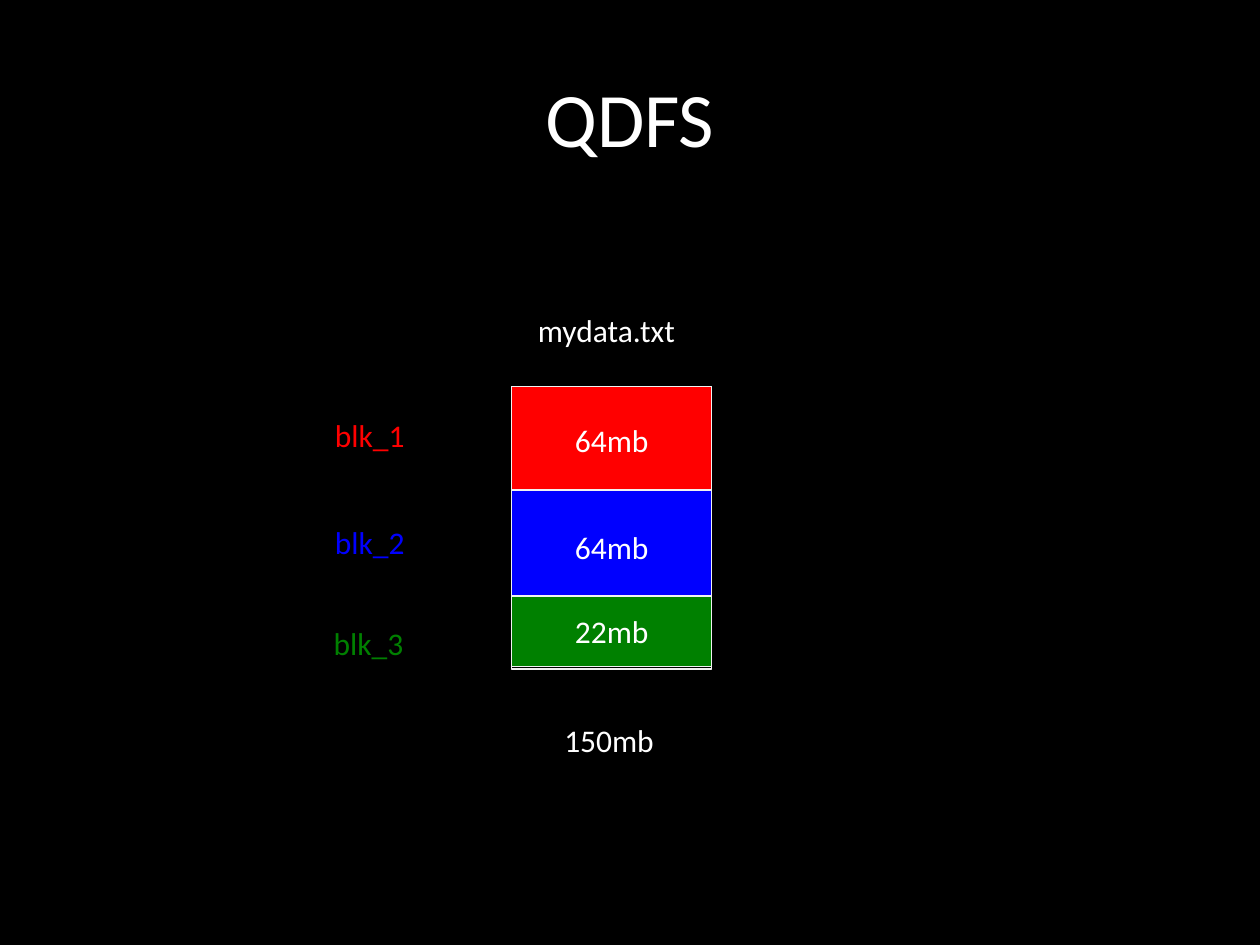
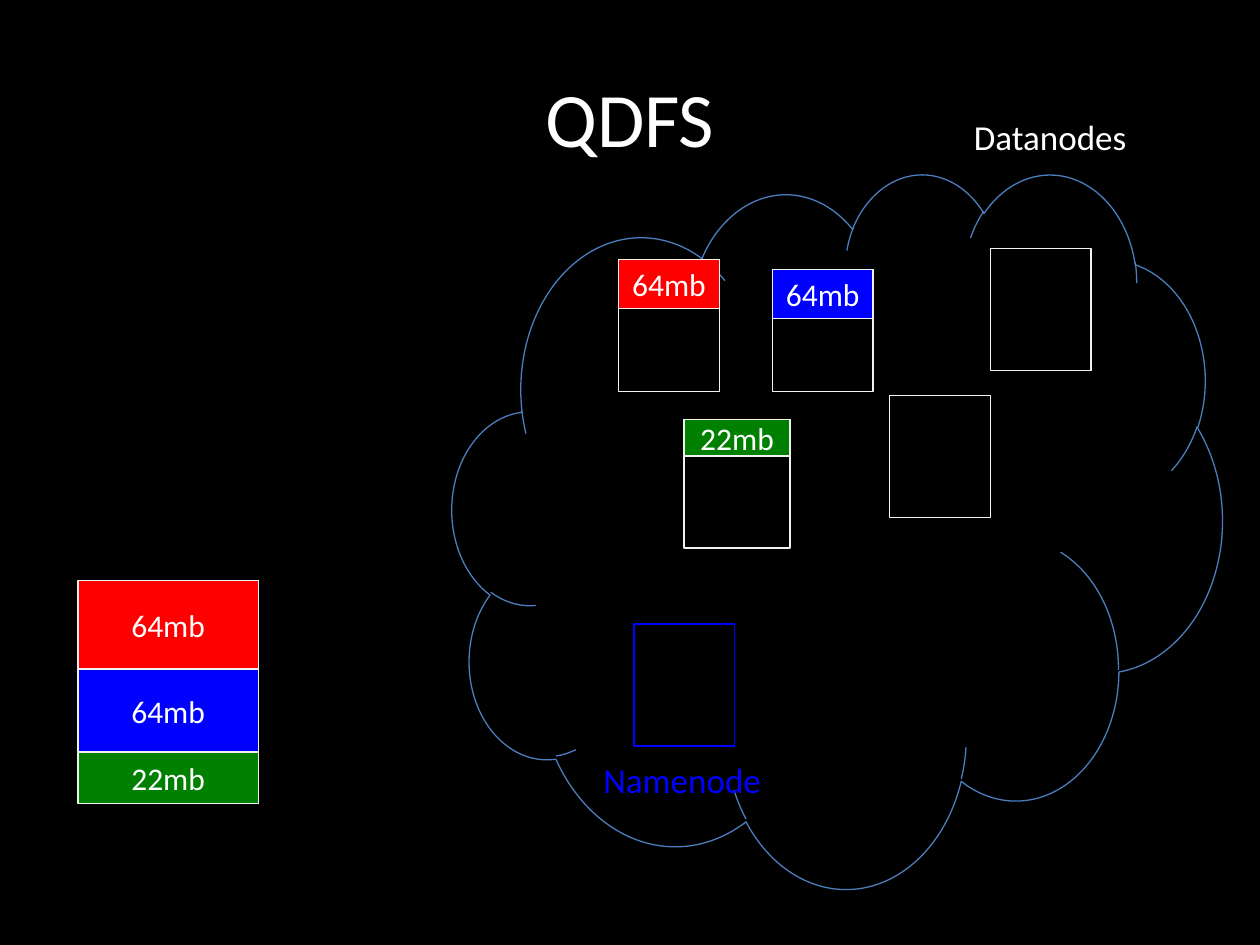
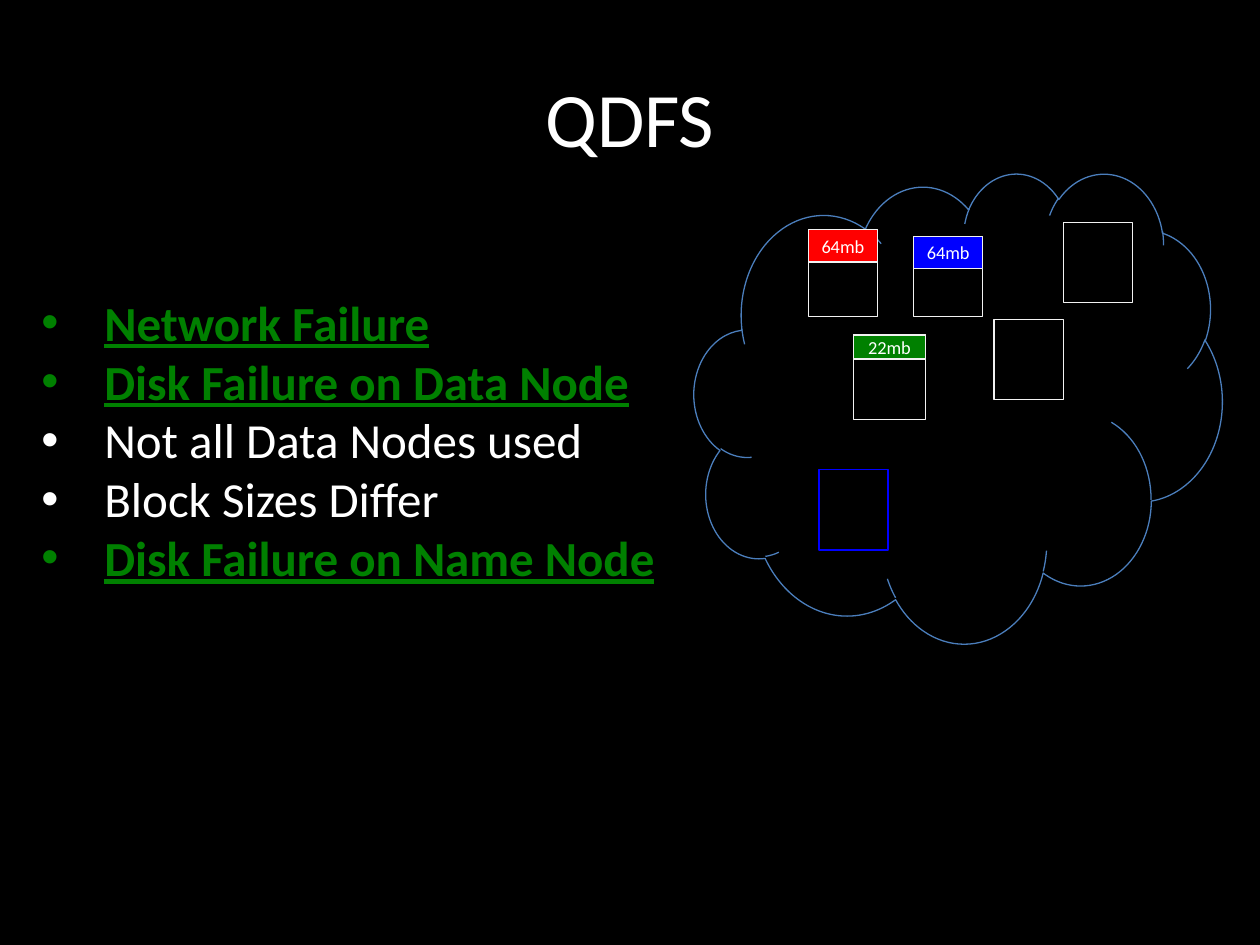
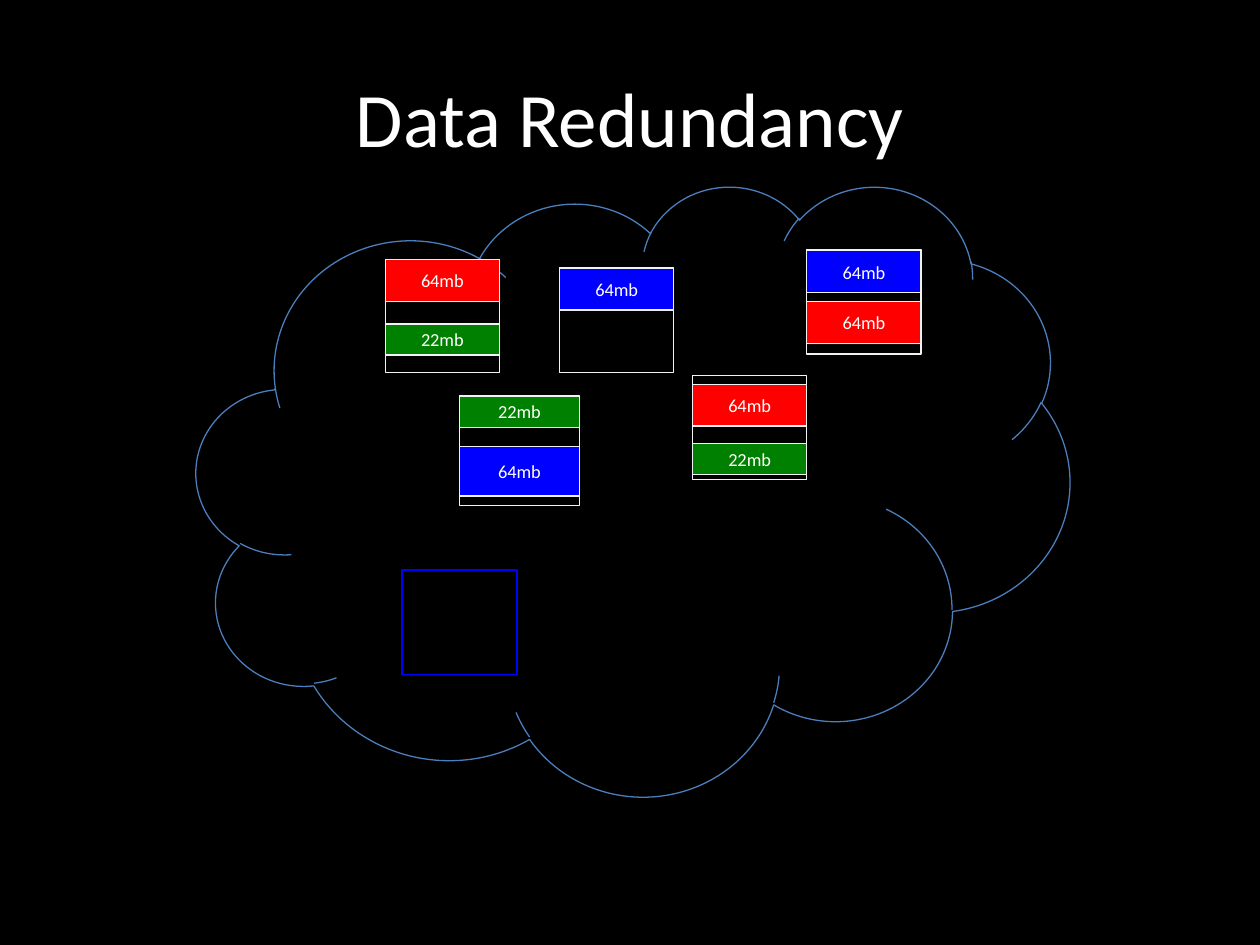
from lxml.etree import SubElement
from pptx import Presentation
from pptx.dml.color import RGBColor
from pptx.enum.shapes import MSO_SHAPE
from pptx.enum.text import MSO_ANCHOR, PP_ALIGN
from pptx.oxml.ns import qn
from pptx.util import Emu, Pt

PX = 9144
FONT = "Calibri"
COLORS = {
    "back": "000000", "text": "FFFFFF", "edge": "F2F2F2", "cloud": "4B7EBC",
    "red": "FF0000", "blue": "0000FF", "green": "008000",
}
SIZES = {"red": "64mb", "blue": "64mb", "green": "22mb"}
TITLE = (50, 30, 900, 125)
SYSTEM = "QDFS"

STACKS = {
    "file": ((406, 307, 159, 224), [("red", 307, 84), ("blue", 389, 90), ("green", 473, 56)]),
    "copy": ((62, 461, 143, 166), [("red", 461, 70), ("blue", 531, 66), ("green", 597, 41)]),
}
FILE_TAGS = [
    ("mydata.txt", (417, 242, 141, 40), 18, "text"),
    ("150mb", (438, 567, 101, 40), 18, "text"),
    ("blk_1", (256, 325, 83, 40), 18, "red"),
    ("blk_2", (256, 410, 83, 40), 18, "blue"),
    ("blk_3", (255, 490, 83, 40), 18, "green"),
]
NODE_TAGS = [
    ("Datanodes", (763, 87, 158, 44), 20, "text"),
    ("Namenode", (469, 597, 149, 44), 20, "blue"),
]
FAULTS = [
    ("Network Failure", True),
    ("Disk Failure on Data Node", True),
    ("Not all Data Nodes used", False),
    ("Block Sizes Differ", False),
    ("Disk Failure on Name Node", True),
]

CLOUD = (359, 137, 611, 567)
SMALL = (551, 137, 419, 373)
WIDE = (156, 147, 693, 484)
NODES = {
    "top": (613, 214, 80, 97),
    "mid": (543, 333, 84, 102),
    "left": (491, 206, 80, 105),
    "low": (706, 314, 80, 97),
    "right": (786, 197, 80, 97),
    "name": (503, 495, 80, 97),
}
SINGLE = [("top", "blue", 0, 39), ("mid", "green", 0, 29), ("left", "red", 0, 39)]
SPARE = [
    ("left", "green", 60, 29), ("right", "red", 48, 39), ("low", "red", 8, 39),
    ("low", "green", 63, 29), ("right", "blue", 1, 39), ("mid", "blue", 47, 46),
]


def tint(name):
    return RGBColor.from_string(COLORS[name])


def scale(box):
    return [Emu(round(v * PX)) for v in box]


def style(item, values):
    for key, value in values.items():
        setattr(item, key, value)


def write(para, text, size, color, **more):
    run = para.add_run()
    run.text = text
    style(run.font, {"name": FONT, "size": Pt(size), **more})
    run.font.color.rgb = tint(color)


def label(slide, text, box, size, color):
    frame = slide.shapes.add_textbox(*scale(box)).text_frame
    frame.word_wrap = True
    write(frame.paragraphs[0], text, size, color)
    return frame


def outline(shapes, box, color="edge", width=0.75, kind=MSO_SHAPE.RECTANGLE):
    shape = shapes.add_shape(kind, *scale(box))
    shape.shadow.inherit = False
    shape.fill.background()
    shape.line.color.rgb = tint(color)
    shape.line.width = Pt(width)
    return shape


def block(shapes, box, color, size):
    shape = outline(shapes, box)
    shape.fill.solid()
    shape.fill.fore_color.rgb = tint(color)
    frame = shape.text_frame
    style(frame, {"margin_left": 0, "margin_right": 0, "word_wrap": True,
                  "vertical_anchor": MSO_ANCHOR.MIDDLE})
    frame.paragraphs[0].alignment = PP_ALIGN.CENTER
    write(frame.paragraphs[0], SIZES[color], size, "text")


def stack(slide, name):
    frame, parts = STACKS[name]
    outline(slide.shapes, frame)
    left, _, width, _ = frame
    for color, top, height in parts:
        block(slide.shapes, (left, top, width, height), color, 18)


def cluster(shapes, frame, blocks, size):
    wide, high = frame[2] / CLOUD[2], frame[3] / CLOUD[3]

    def fit(x, y, w, h):
        return (frame[0] + (x - CLOUD[0]) * wide,
                frame[1] + (y - CLOUD[1]) * high, w * wide, h * high)

    outline(shapes, frame, "cloud", kind=MSO_SHAPE.CLOUD)
    for name, box in NODES.items():
        color, width = ("blue", 1) if name == "name" else ("edge", 0.75)
        outline(shapes, fit(*box), color, width)
    for name, color, drop, height in blocks:
        x, y, w, _ = NODES[name]
        block(shapes, fit(x, y + drop, w, height), color, size)


def bullets(slide, items, box):
    frame = slide.shapes.add_textbox(*scale(box)).text_frame
    frame.word_wrap = True
    for spot, (text, hot) in enumerate(items):
        para = frame.add_paragraph() if spot else frame.paragraphs[0]
        props = para._p.get_or_add_pPr()
        props.set("marL", str(50 * PX))
        props.set("indent", str(-50 * PX))
        SubElement(props, qn("a:buFont"), typeface="Arial")
        SubElement(props, qn("a:buChar"), char="•")
        write(para, text, 28, "green" if hot else "text", bold=hot, underline=hot)


def page(deck, title):
    slide = deck.slides.add_slide(deck.slide_layouts[6])
    frame = label(slide, title, TITLE, 44, "text")
    frame.vertical_anchor = MSO_ANCHOR.MIDDLE
    frame.paragraphs[0].alignment = PP_ALIGN.CENTER
    return slide


def main():
    deck = Presentation()
    deck.slide_width, deck.slide_height = scale((1000, 750))
    back = deck.slide_master.background.fill
    back.solid()
    back.fore_color.rgb = tint("back")

    slide = page(deck, SYSTEM)
    stack(slide, "file")
    for tag in FILE_TAGS:
        label(slide, *tag)

    slide = page(deck, SYSTEM)
    stack(slide, "copy")
    cluster(slide.shapes, CLOUD, SINGLE, 18)
    for tag in NODE_TAGS:
        label(slide, *tag)

    slide = page(deck, SYSTEM)
    cluster(slide.shapes.add_group_shape().shapes, SMALL, SINGLE, 10.5)
    bullets(slide, FAULTS, (23, 227, 581, 246))

    slide = page(deck, "Data Redundancy")
    cluster(slide.shapes, WIDE, SINGLE + SPARE, 10.5)

    deck.save("out.pptx")


if __name__ == "__main__":
    main()
